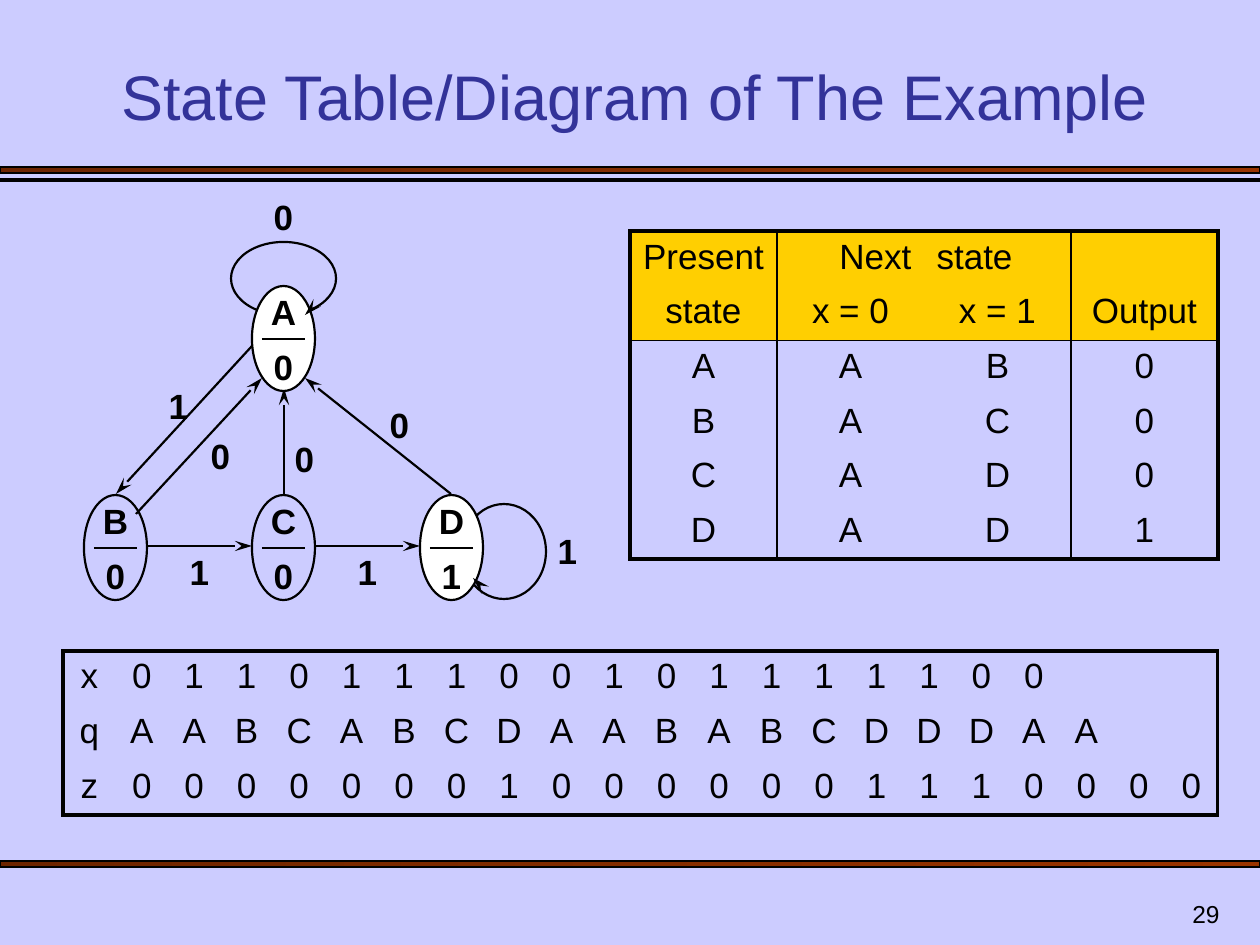
from lxml import etree
from pptx import Presentation
from pptx import util as u
from pptx.dml.color import RGBColor
from pptx.enum import shapes, text
from pptx.oxml import ns

COLORS = {
    "background": "CCCCFF",
    "title": "333399",
    "ink": "000000",
    "header": "FFCF01",
    "state": "FFFFFF",
    "bar_dark": "6D2400",
    "bar_light": "993300",
}
ALIGN = {
    "left": text.PP_ALIGN.LEFT,
    "center": text.PP_ALIGN.CENTER,
    "right": text.PP_ALIGN.RIGHT,
}


def px(value):
    return u.Emu(round(value * u.Inches(1) / 126))


def color(name):
    return RGBColor.from_string(COLORS[name])


def write(frame, content, size=20, bold=False, ink="ink", align="center"):
    paragraph = frame.paragraphs[0]
    paragraph.alignment = ALIGN[align]
    run = paragraph.add_run()
    run.text = content
    run.font.name = "Arial"
    run.font.size = u.Pt(size)
    run.font.bold = bold
    run.font.color.rgb = color(ink)


class SlideBuilder:
    line_width = 1.25
    thick, thin = 2.25, 1
    state_width, state_height = 63, 105

    def __init__(self, slide):
        self.slide = slide
        slide.background.fill.solid()
        slide.background.fill.fore_color.rgb = color("background")

    def shape(self, kind, left, top, width, height, fill=None, line_width=line_width):
        shape = self.slide.shapes.add_shape(kind, px(left), px(top), px(width), px(height))
        shape.shadow.inherit = False
        shape.line.color.rgb = color("ink")
        shape.line.width = u.Pt(line_width)
        if fill:
            shape.fill.solid()
            shape.fill.fore_color.rgb = color(fill)
        else:
            shape.fill.background()
        return shape

    def ellipse(self, left, top, width, height, fill=None):
        self.shape(shapes.MSO_SHAPE.OVAL, left, top, width, height, fill)

    def bar(self, top, height):
        bar = self.shape(shapes.MSO_SHAPE.RECTANGLE, 0, top, 1260, height, line_width=0.75)
        bar.fill.gradient()
        bar.fill.gradient_angle = 0
        for stop, name in zip(bar.fill.gradient_stops, ("bar_dark", "bar_light")):
            stop.color.rgb = color(name)

    def label(self, content, left, top, width=63, height=55, bottom=False, **style):
        frame = self.slide.shapes.add_textbox(px(left), px(top), px(width), px(height)).text_frame
        frame.word_wrap = True
        frame.vertical_anchor = text.MSO_ANCHOR.BOTTOM if bottom else text.MSO_ANCHOR.TOP
        write(frame, content, **style)

    def line(self, start, end, arrow=True):
        connector = self.slide.shapes.add_connector(
            shapes.MSO_CONNECTOR.STRAIGHT, *map(px, start + end))
        connector.line.color.rgb = color("ink")
        connector.line.width = u.Pt(self.line_width)
        if arrow:
            etree.SubElement(connector.line._get_or_add_ln(), ns.qn("a:tailEnd"),
                             type="stealth", w="med", len="lg")
        etree.SubElement(connector._element.spPr, ns.qn("a:effectLst"))

    def state(self, name, output, left, top, fill=None):
        self.ellipse(left, top, self.state_width, self.state_height, fill)
        self.label(name, left, top - 2, bold=True)
        self.label(output, left, top + 53, bold=True)
        self.line((left + 10, top + 53), (left + 53, top + 53), arrow=False)

    def border(self, cell, side, width):
        properties = cell._tc.get_or_add_tcPr()
        line = etree.SubElement(properties, ns.qn(f"a:ln{side}"), w=str(u.Pt(width or 0)))
        if width:
            fill = etree.SubElement(line, ns.qn("a:solidFill"))
            etree.SubElement(fill, ns.qn("a:srgbClr"), val=COLORS["ink"])
        else:
            etree.SubElement(line, ns.qn("a:noFill"))

    def table(self, rows, left, top, width, height, vertical, horizontal,
              header_rows=0, aligns=None):
        row_count, column_count = len(rows), len(rows[0])
        table = self.slide.shapes.add_table(
            row_count, column_count, px(left), px(top), px(width), px(height)).table
        table.first_row = table.horz_banding = False
        for column in table.columns:
            column.width = px(width / column_count)
        for row in table.rows:
            row.height = px(height / row_count)
        for i, values in enumerate(rows):
            for j, value in enumerate(values):
                cell = table.cell(i, j)
                if value:
                    write(cell.text_frame, value, align=(aligns or {}).get((i, j), "center"))
                self.border(cell, "L", vertical.get(j))
                self.border(cell, "R", vertical.get(j + 1))
                self.border(cell, "T", horizontal.get(i))
                self.border(cell, "B", horizontal.get(i + 1))
                if i < header_rows:
                    cell.fill.solid()
                    cell.fill.fore_color.rgb = color("header")
                else:
                    cell.fill.background()


def draw_diagram(builder):
    builder.state("B", "0", 84, 495)
    builder.state("C", "0", 252, 495)
    for start, end in [
        ((252, 346), (116, 494)),
        ((136, 514), (262, 378)),
        ((147, 546), (252, 546)),
        ((315, 546), (420, 546)),
        ((284, 494), (284, 388)),
        ((451, 494), (305, 378)),
    ]:
        builder.line(start, end)
    builder.ellipse(231, 242, 105, 73)
    builder.state("A", "0", 252, 286, "state")
    builder.line((315, 305), (305, 315))
    builder.ellipse(462, 504, 84, 95)
    builder.state("D", "1", 420, 495, "state")
    builder.line((483, 588), (473, 578))
    for content, left, top in [
        ("1", 147, 378), ("0", 189, 428), ("0", 273, 431), ("0", 368, 397),
        ("0", 252, 189), ("1", 168, 544), ("1", 336, 544), ("1", 536, 523),
    ]:
        builder.label(content, left, top, bold=True)


def draw_tables(builder):
    thick, thin = builder.thick, builder.thin
    state_rows = [
        ["Present", "Next", "state", ""],
        ["state", "x = 0", "x = 1", "Output"],
        *map(list, ("AAB0", "BAC0", "CAD0", "DAD1")),
    ]
    builder.table(state_rows, 630, 231, 588, 327,
                  vertical={0: thick, 1: thin, 3: thin, 4: thick},
                  horizontal={0: thick, 2: thin, 6: thick},
                  header_rows=2, aligns={(0, 1): "right", (0, 2): "left"})
    sequences = ["x011011100101111100", "qAABCABCDAABABCDDDAA", "z000000010000001110000"]
    sequence_rows = [list(sequence.ljust(22)) for sequence in sequences]
    sequence_rows = [[value.strip() for value in row] for row in sequence_rows]
    builder.table(sequence_rows, 63, 651, 1155, 164,
                  vertical={0: thick, 22: thick}, horizontal={0: thick, 3: thick})


def main():
    presentation = Presentation()
    presentation.slide_width, presentation.slide_height = px(1260), px(945)
    builder = SlideBuilder(presentation.slides.add_slide(presentation.slide_layouts[6]))
    for top, height in [(167, 6), (179, 2), (861, 6)]:
        builder.bar(top, height)
    builder.label("29", 970, 882, 262, 53, bottom=True, size=14, align="right")
    builder.label("State Table/Diagram of The Example", 73, 53, 1124, 86,
                  bottom=True, size=36, ink="title")
    draw_diagram(builder)
    draw_tables(builder)
    presentation.save("out.pptx")


if __name__ == "__main__":
    main()
